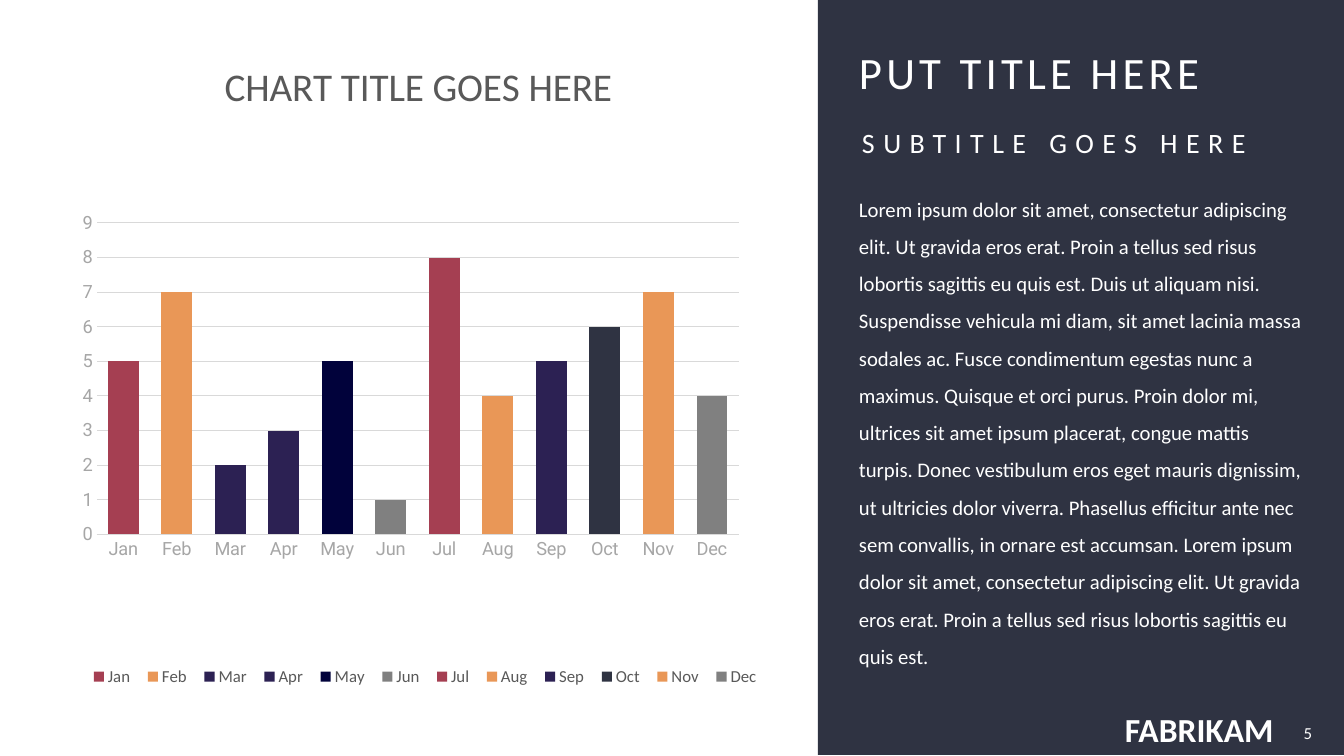
import pptx
import pptx.util
import pptx.chart.data
import pptx.dml.color
import pptx.enum.chart
import pptx.enum.shapes
import pptx.enum.text
import pptx.oxml
import pptx.oxml.ns

PX = 914400 / 100.8
COLORS = {
    "white": "FFFFFF", "slate": "2F3342", "red": "A53F52", "orange": "E99757",
    "purple": "2C2153", "navy": "01023B", "gray": "808080",
    "grid": "D9D9D9", "axis": "A6A6A6", "caption": "595959",
}
MONTHS = [
    ("Jan", 5, "red"), ("Feb", 7, "orange"), ("Mar", 2, "purple"),
    ("Apr", 3, "purple"), ("May", 5, "navy"), ("Jun", 1, "gray"),
    ("Jul", 8, "red"), ("Aug", 4, "orange"), ("Sep", 5, "purple"),
    ("Oct", 6, "slate"), ("Nov", 7, "orange"), ("Dec", 4, "gray"),
]
BODY = (
    "Lorem ipsum dolor sit amet, consectetur adipiscing elit. Ut gravida eros erat. "
    "Proin a tellus sed risus lobortis sagittis eu quis est. Duis ut aliquam nisi. "
    "Suspendisse vehicula mi diam, sit amet lacinia massa sodales ac. Fusce condimentum "
    "egestas nunc a maximus. Quisque et orci purus. Proin dolor mi, ultrices sit amet "
    "ipsum placerat, congue mattis turpis. Donec vestibulum eros eget mauris dignissim, "
    "ut ultricies dolor viverra. Phasellus efficitur ante nec sem convallis, in ornare "
    "est accumsan. Lorem ipsum dolor sit amet, consectetur adipiscing elit. Ut gravida "
    "eros erat. Proin a tellus sed risus lobortis sagittis eu quis est."
)


def px(*lengths):
    return [round(n * PX) for n in lengths]


def rgb(name):
    return pptx.dml.color.RGBColor.from_string(COLORS[name])


def set_font(font, size, color, name="Calibri", bold=False):
    font.size = pptx.util.Pt(size)
    font.name = name
    font.bold = bold
    font.color.rgb = rgb(color)


def set_line(line, color):
    line.color.rgb = rgb(color)
    line.width = pptx.util.Pt(0.75)


def place(element, before, inner=False, **fractions):
    """Give a chart part a manual layout, in fractions of the chart."""
    for old in element.findall(pptx.oxml.ns.qn("c:layout")):
        element.remove(old)
    target = '<c:layoutTarget val="inner"/>' if inner else ""
    modes = '<c:xMode val="edge"/><c:yMode val="edge"/>'
    values = "".join(f'<c:{k} val="{v}"/>' for k, v in fractions.items())
    layout = pptx.oxml.parse_xml(
        f'<c:layout {pptx.oxml.ns.nsdecls("c")}><c:manualLayout>'
        f"{target}{modes}{values}</c:manualLayout></c:layout>")
    element.find(pptx.oxml.ns.qn(before)).addprevious(layout)


class Deck:
    def __init__(self, width, height):
        self.prs = pptx.Presentation()
        self.prs.slide_width, self.prs.slide_height = px(width, height)
        self.s = self.prs.slides.add_slide(self.prs.slide_layouts[6])

    def panel(self, box, color):
        sp = self.s.shapes.add_shape(pptx.enum.shapes.MSO_SHAPE.RECTANGLE, *px(*box))
        sp.shadow.inherit = False
        sp.fill.solid()
        sp.fill.fore_color.rgb = rgb(color)
        sp.line.fill.background()

    def text(self, text, box, size, align="LEFT", anchor="MIDDLE",
             bold=False, tracking=0, spacing=1.0, wrap=True, side=0):
        tf = self.s.shapes.add_textbox(*px(*box)).text_frame
        tf.text = text
        tf.word_wrap = wrap
        tf.margin_left, tf.margin_right, tf.margin_top, tf.margin_bottom = px(side, side, 5, 5)
        tf.vertical_anchor = getattr(pptx.enum.text.MSO_ANCHOR, anchor)
        p = tf.paragraphs[0]
        p.alignment = getattr(pptx.enum.text.PP_ALIGN, align)
        p.line_spacing = spacing
        r = p.runs[0]
        set_font(r.font, size, "white", bold=bold)
        if tracking:
            r.font._element.set("spc", str(tracking * 100))

    def column_chart(self, title, months, box):
        data = pptx.chart.data.CategoryChartData()
        data.categories = [month for month, _, _ in months]
        data.add_series("Series 1", [value for _, value, _ in months])
        kind = pptx.enum.chart.XL_CHART_TYPE.COLUMN_CLUSTERED
        chart = self.s.shapes.add_chart(kind, *px(*box), data).chart
        chart.font.size = pptx.util.Pt(15)
        chart.font.name = "Roboto"

        chart.has_title = True
        tf = chart.chart_title.text_frame
        tf.text = title
        set_font(tf.paragraphs[0].runs[0].font, 28, "caption")
        place(chart.chart_title._element, "c:overlay", x=0.266, y=0.07)

        plot = chart.plots[0]
        plot.gap_width, plot.overlap = 75, -25
        plot.vary_by_categories = True
        for i, (_, _, color) in enumerate(months):
            fill = plot.series[0].points[i].format.fill
            fill.solid()
            fill.fore_color.rgb = rgb(color)
        place(chart._chartSpace.chart.plotArea, "c:barChart", inner=True,
              x=0.118, y=0.295, w=0.785, h=0.412)

        for axis in (chart.category_axis, chart.value_axis):
            axis.major_tick_mark = pptx.enum.chart.XL_TICK_MARK.NONE
            axis.minor_tick_mark = pptx.enum.chart.XL_TICK_MARK.NONE
            set_font(axis.tick_labels.font, 13, "axis", "Roboto")
        set_line(chart.category_axis.format.line, "grid")
        values = chart.value_axis
        values.format.line.fill.background()
        values.minimum_scale, values.maximum_scale, values.major_unit = 0, 9, 1
        set_line(values.major_gridlines.format.line, "grid")

        chart.has_legend = True
        legend = chart.legend
        legend.position = pptx.enum.chart.XL_LEGEND_POSITION.BOTTOM
        legend.include_in_layout = False
        set_font(legend.font, 12, "caption")
        place(legend._element, "c:overlay", x=0.1, y=0.87, w=0.84, h=0.05)


def main():
    deck = Deck(1344, 756)
    deck.panel((818, 0, 526, 755), "slate")
    deck.text("FABRIKAM", (1123, 707, 154, 45), 24, bold=True, wrap=False, side=2)
    deck.column_chart("CHART TITLE GOES HERE", MONTHS, (0, 0, 818, 756))
    deck.text("PUT TITLE HERE", (859, 40, 443, 64), 32, tracking=3)
    deck.text("SUBTITLE GOES HERE", (862, 111, 440, 45), 20, tracking=6, spacing=1.5)
    deck.text(BODY, (859, 179, 443, 511), 14.8, anchor="TOP", spacing=1.5)
    deck.text("5", (1273, 713, 49, 40), 12, align="RIGHT", side=10)
    deck.prs.save("out.pptx")


if __name__ == "__main__":
    main()
